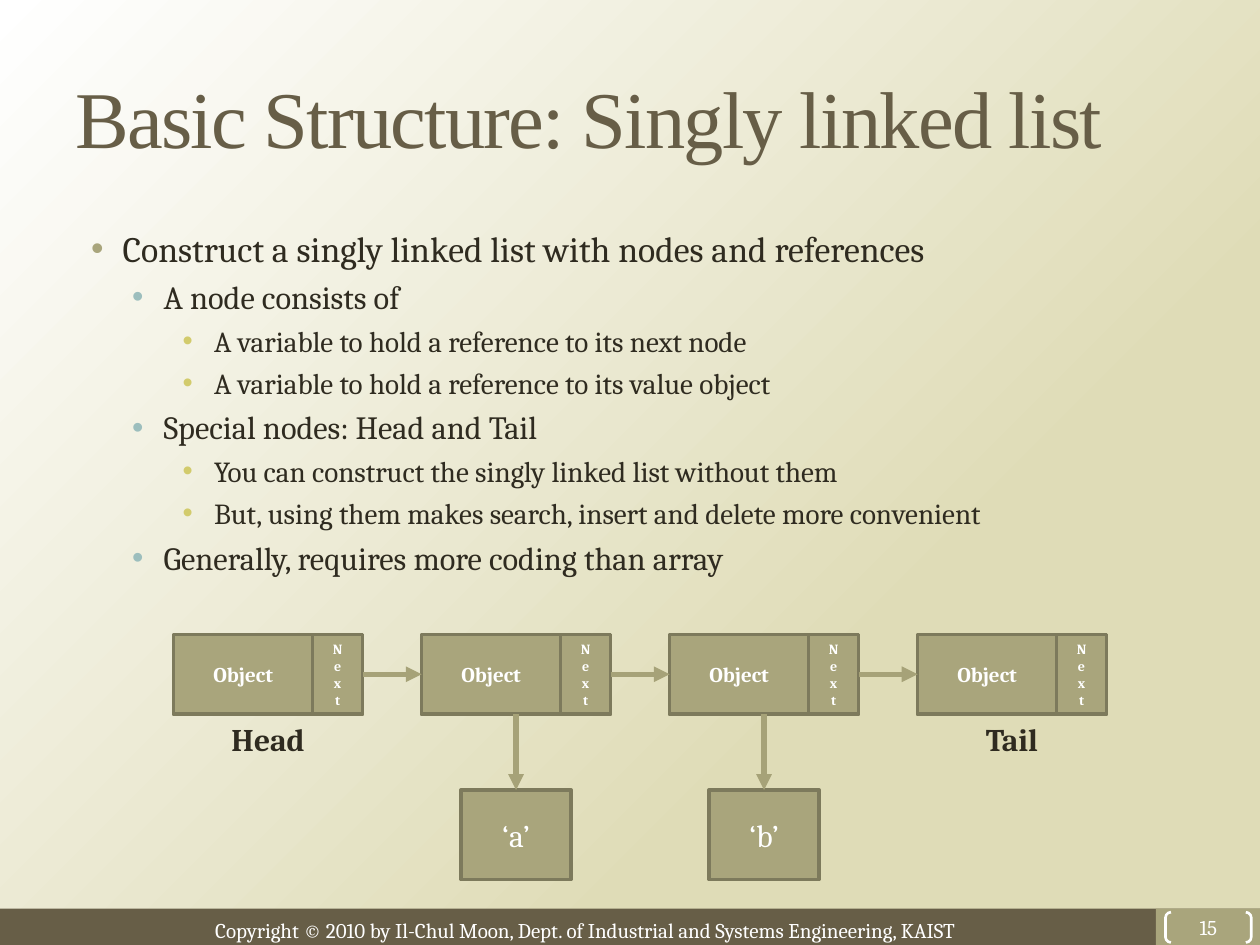
from lxml import etree
from pptx import Presentation
from pptx.dml.color import RGBColor
from pptx.enum.shapes import MSO_CONNECTOR, MSO_SHAPE
from pptx.enum.text import MSO_ANCHOR, PP_ALIGN
from pptx.oxml.ns import qn
from pptx.util import Pt

# Content
TITLE = "Basic Structure: Singly linked list"
OUTLINE = [
    (0, "Construct a singly linked list with nodes and references"),
    (1, "A node consists of"),
    (2, "A variable to hold a reference to its next node"),
    (2, "A variable to hold a reference to its value object"),
    (1, "Special nodes: Head and Tail"),
    (2, "You can construct the singly linked list without them"),
    (2, "But, using them makes search, insert and delete more convenient"),
    (1, "Generally, requires more coding than array"),
]
# One entry per node: (label below, label width, value it refers to)
NODES = [("Head", 57.6, None), (None, 0, "‘a’"), (None, 0, "‘b’"), ("Tail", 45.4, None)]
OBJECT_TEXT = "Object"
NEXT_TEXT = "N\ne\nx\nt"
COPYRIGHT = "Copyright © 2010 by Il-Chul Moon, Dept. of Industrial and Systems Engineering, KAIST"
PAGE_NUMBER = "15"

# Colours
WHITE = RGBColor(0xFF, 0xFF, 0xFF)
SAND = RGBColor(0xDF, 0xDC, 0xB7)
BROWN = RGBColor(0x67, 0x5E, 0x47)
INK = RGBColor(0x2F, 0x2B, 0x20)
OLIVE = RGBColor(0xA9, 0xA5, 0x7C)
EDGE = RGBColor(0x7D, 0x7A, 0x5C)
ARROW = RGBColor(0xA6, 0xA2, 0x78)

# Outline levels: left margin, text size, bullet colour
LEVELS = [(27, 20.4, "A9A57C"), (50.4, 18.5, "9CBEBD"), (79.2, 16.6, "D2CB6C")]
BULLET_INDENT = 18
SPACE_SHARE = 0.24  # space before, as a share of the text size

# Diagram grid
NODE_LEFT, NODE_TOP, NODE_PITCH = 99.2, 362.7, 141.7
NODE_WIDTH, NODE_HEIGHT, OBJECT_WIDTH = 108, 45.2, 79.5
VALUE_TOP, VALUE_WIDTH, VALUE_HEIGHT = 451.4, 62.8, 51.2
LABEL_HEIGHT = 28.8
FOOTER_TOP, FOOTER_HEIGHT = 519.3, 20.7


def set_format(target, **values):
    for key, value in values.items():
        setattr(target, key, value)


def write(paragraph, text, size, color, face="Cambria", bold=False):
    paragraph.text = text
    for run in paragraph.runs:
        set_format(run.font, name=face, size=Pt(size), bold=bold)
        run.font.color.rgb = color


def add_box(shapes, left, top, width, height, text="", size=12, bold=False,
            fill=OLIVE, edge=EDGE, weight=2, kind=MSO_SHAPE.RECTANGLE):
    box = shapes.add_shape(kind, Pt(left), Pt(top), Pt(width), Pt(height))
    box.shadow.inherit = False
    if fill is None:
        box.fill.background()
    else:
        box.fill.solid()
        box.fill.fore_color.rgb = fill
    if edge is None:
        box.line.fill.background()
    else:
        box.line.color.rgb = edge
        box.line.width = Pt(weight)
    if text:
        box.text_frame.vertical_anchor = MSO_ANCHOR.MIDDLE
        paragraph = box.text_frame.paragraphs[0]
        write(paragraph, text, size, WHITE, bold=bold)
        paragraph.alignment = PP_ALIGN.CENTER
    return box


def add_text(shapes, left, top, width, height, wrap=True):
    frame = shapes.add_textbox(Pt(left), Pt(top), Pt(width), Pt(height)).text_frame
    frame.word_wrap = wrap
    return frame


def add_arrow(shapes, source, source_side, target, target_side):
    arrow = shapes.add_connector(MSO_CONNECTOR.STRAIGHT, 0, 0, 0, 0)
    arrow.begin_connect(source, source_side)
    arrow.end_connect(target, target_side)
    arrow.line.color.rgb = ARROW
    arrow.line.width = Pt(3)
    etree.SubElement(arrow.line._get_or_add_ln(), qn("a:tailEnd"), type="triangle")
    etree.SubElement(arrow._element.spPr, qn("a:effectLst"))


def add_bullet(paragraph, margin, color):
    properties = paragraph._p.get_or_add_pPr()
    properties.set("marL", str(Pt(margin)))
    properties.set("indent", str(-Pt(BULLET_INDENT)))
    bullet_color = etree.SubElement(properties, qn("a:buClr"))
    etree.SubElement(bullet_color, qn("a:srgbClr"), val=color)
    etree.SubElement(properties, qn("a:buFont"), typeface="Arial")
    etree.SubElement(properties, qn("a:buChar"), char="•")


def main():
    deck = Presentation()
    set_format(deck, slide_width=Pt(720), slide_height=Pt(540))
    slide = deck.slides.add_slide(deck.slide_layouts[6])
    shapes = slide.shapes

    # Background
    background = slide.background.fill
    background.gradient()
    background.gradient_angle = 135
    for stop, (position, color) in zip(background.gradient_stops, [(0.31, SAND), (1, WHITE)]):
        stop.position = position
        stop.color.rgb = color

    # Footer
    add_box(shapes, 0, FOOTER_TOP, 720, FOOTER_HEIGHT, fill=BROWN, edge=None)
    add_box(shapes, 660.5, FOOTER_TOP, 59.5, FOOTER_HEIGHT, edge=None)
    copyright_frame = add_text(shapes, 115.9, 520.6, 461.5, 21.6, wrap=False)
    write(copyright_frame.paragraphs[0], COPYRIGHT, 12, WHITE)
    page = add_box(shapes, 666, 521.3, 49, 17.3, PAGE_NUMBER, fill=None,
                   edge=WHITE, weight=1.5, kind=MSO_SHAPE.DOUBLE_BRACKET)
    page.adjustments[0] = 0.18
    set_format(page.text_frame, margin_left=0, margin_top=0, margin_right=0, margin_bottom=0)

    # Title
    title_frame = add_text(shapes, 36, 21.6, 663.8, 89.3)
    title_frame.vertical_anchor = MSO_ANCHOR.MIDDLE
    write(title_frame.paragraphs[0], TITLE, 46, BROWN, face="Times New Roman")
    title_frame.paragraphs[0].runs[0]._r.get_or_add_rPr().set("spc", "-100")

    # Outline
    outline_frame = add_text(shapes, 36, 126, 663.8, 206.6)
    for index, (level, text) in enumerate(OUTLINE):
        paragraph = outline_frame.add_paragraph() if index else outline_frame.paragraphs[0]
        margin, size, bullet_color = LEVELS[level]
        add_bullet(paragraph, margin, bullet_color)
        paragraph.level = level
        if index:
            paragraph.space_before = Pt(round(size * SPACE_SHARE, 1))
        write(paragraph, text, size, INK)

    # Nodes, each a frame with an object cell and a next cell
    frames = []
    for index in range(len(NODES)):
        left = NODE_LEFT + index * NODE_PITCH
        parts = shapes.add_group_shape().shapes
        frames.append(add_box(parts, left, NODE_TOP, NODE_WIDTH, NODE_HEIGHT))
        add_box(parts, left + OBJECT_WIDTH, NODE_TOP, NODE_WIDTH - OBJECT_WIDTH, NODE_HEIGHT,
                NEXT_TEXT, size=8, bold=True)
        add_box(parts, left, NODE_TOP, OBJECT_WIDTH, NODE_HEIGHT, OBJECT_TEXT, bold=True)

    # References to the next node
    for source, target in zip(frames, frames[1:]):
        add_arrow(shapes, source, 3, target, 1)

    # Values and labels, centred below their nodes
    for index, (label, label_width, value) in enumerate(NODES):
        center = NODE_LEFT + index * NODE_PITCH + NODE_WIDTH / 2
        if value:
            value_box = add_box(shapes, center - VALUE_WIDTH / 2, VALUE_TOP,
                                VALUE_WIDTH, VALUE_HEIGHT, value, size=18)
            add_arrow(shapes, frames[index], 2, value_box, 0)
        if label:
            label_frame = add_text(shapes, center - label_width / 2, NODE_TOP + NODE_HEIGHT,
                                   label_width, LABEL_HEIGHT, wrap=False)
            write(label_frame.paragraphs[0], label, 18, INK, bold=True)
            label_frame.paragraphs[0].alignment = PP_ALIGN.CENTER

    deck.save("out.pptx")


if __name__ == "__main__":
    main()
